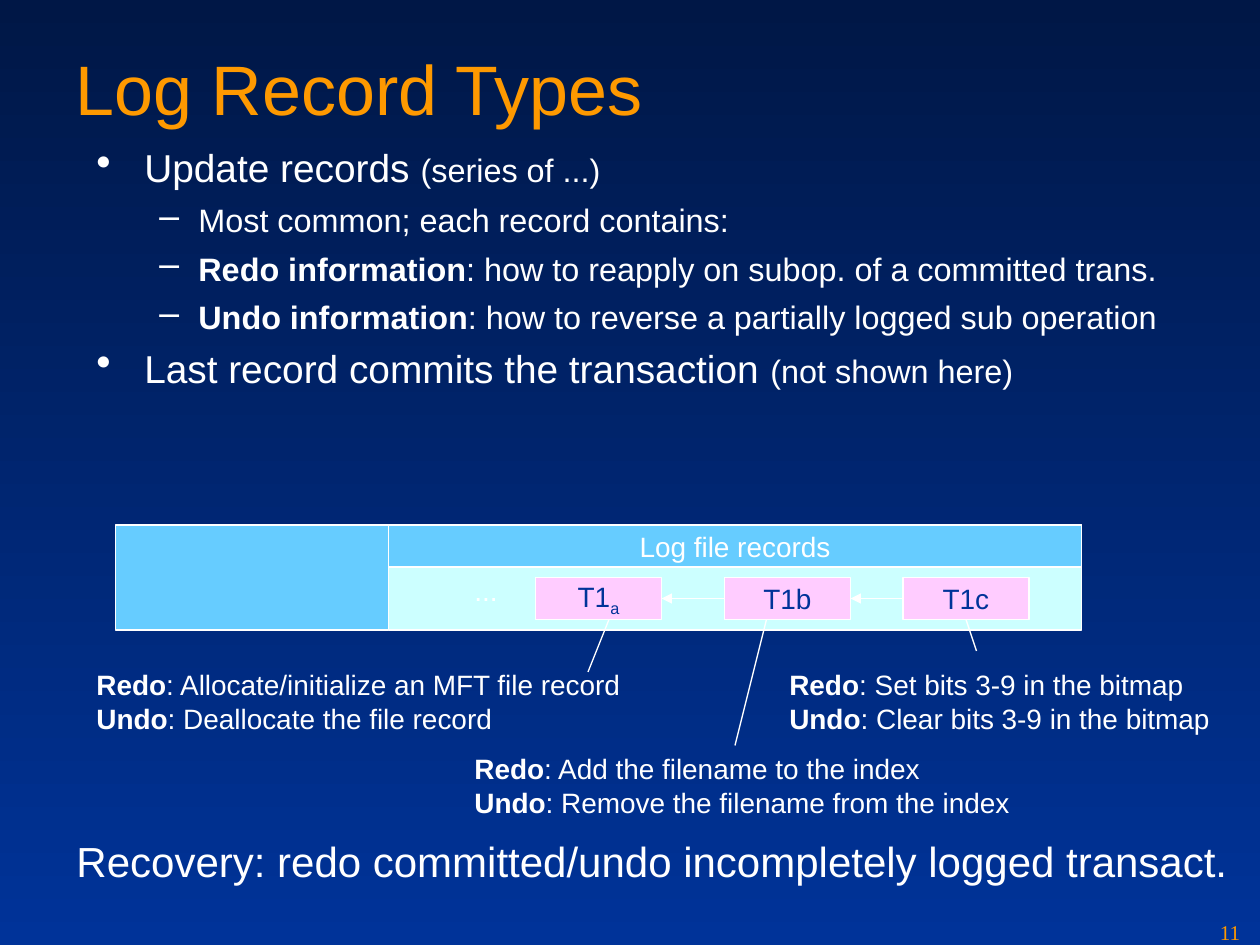
from dataclasses import dataclass

from lxml import etree
from pptx import Presentation
from pptx import util as u
from pptx.dml.color import RGBColor
from pptx.enum import shapes, text
from pptx.oxml.ns import qn


@dataclass
class Theme:
    white: str = "FFFFFF"
    orange: str = "FE9900"
    navy: str = "001746"
    blue: str = "003399"
    sky: str = "66CCFF"
    ice: str = "CCFFFF"
    pink: str = "FFCCFF"
    font: str = "Arial"
    title: float = 40
    topic: float = 22.2
    detail: float = 18.5
    label: float = 16
    summary: float = 24
    number: float = 12
    line: float = 0.74


th = Theme()
prs = Presentation()
prs.slide_width, prs.slide_height = u.Inches(10), u.Inches(7.5)
s = prs.slides.add_slide(prs.slide_layouts[5])
CELL = prs.slide_width / 120  # the slide is a grid of 120 columns by 90 rows


def grid(*cells):
    return [u.Emu(round(c * CELL)) for c in cells]


def write(tf, paragraphs, color=th.white, size=th.label, font=th.font, wrap=False):
    """Each paragraph is a list of (text, options) runs."""
    tf.word_wrap = wrap
    for i, runs in enumerate(paragraphs):
        p = tf.paragraphs[0] if i == 0 else tf.add_paragraph()
        for content, options in runs:
            r = p.add_run()
            r.text = content
            r.font.name = font
            r.font.size = u.Pt(options.get("size", size))
            r.font.bold = options.get("bold", False)
            r.font.color.rgb = RGBColor.from_string(color)
            if "baseline" in options:
                r.font._element.set("baseline", str(options["baseline"]))


# Background
fill = s.background.fill
fill.gradient()
fill.gradient_angle = 270
for stop, position, color in zip(fill.gradient_stops, (0, 1), (th.navy, th.blue)):
    stop.position = position
    stop.color.rgb = RGBColor.from_string(color)

# Title
sp = s.shapes.title
sp.left, sp.top, sp.width, sp.height = grid(6, 2.9, 108, 15)
tf = sp.text_frame
tf.auto_size = text.MSO_AUTO_SIZE.NONE
tf.vertical_anchor = text.MSO_ANCHOR.TOP
tf.margin_top = u.Inches(0.12)
write(tf, [[("Log Record Types", {})]], th.orange, th.title, wrap=True)
tf.paragraphs[0].alignment = text.PP_ALIGN.LEFT

# Bulleted body
big, bold = {"size": th.topic}, {"bold": True}
body = [
    (0, [("Update records ", big), ("(series of ...)", {})]),
    (1, [("Most common; each record contains:", {})]),
    (1, [("Redo information", bold),
         (": how to reapply on subop. of a committed trans.", {})]),
    (1, [("Undo information", bold),
         (": how to reverse a partially logged sub operation", {})]),
    (0, [("Last record commits the transaction ", big), ("(not shown here)", {})]),
]
bullets = [("\u2022", 0.38, 0.38), ("\u2013", 0.81, 0.31)]
tf = s.shapes.add_textbox(*grid(8, 14, 106, 24)).text_frame
write(tf, [runs for _, runs in body], size=th.detail, wrap=True)
for p, (level, _) in zip(tf.paragraphs, body):
    char, margin, hang = bullets[level]
    p.level = level
    p.line_spacing = 0.8
    p.space_before = p.space_after = u.Pt(5)
    pPr = p._p.get_or_add_pPr()
    pPr.set("marL", str(u.Inches(margin)))
    pPr.set("indent", str(-u.Inches(hang)))
    color = etree.SubElement(pPr, qn("a:buClr"))
    etree.SubElement(color, qn("a:srgbClr"), val=th.white)
    etree.SubElement(pPr, qn("a:buSzPct"), val="110000")
    etree.SubElement(pPr, qn("a:buChar"), char=char)

# Log file and its records
BOX_TOP, BOX_H = 55, 4
records = [(51, [("T1", {}), ("a", {"baseline": -25000})]),
           (69, [("T1b", {})]),
           (86, [("T1c", {})])]
boxes = [
    (11, 50, 26, 10, th.sky, th.white, []),
    (37, 50, 66, 10, th.ice, th.white, []),
    (37, 50, 66, 4, th.sky, th.white, [("Log file records", {})]),
] + [(x, BOX_TOP, 12, BOX_H, th.pink, th.blue, runs) for x, runs in records]
for x, y, w, h, color, ink, runs in boxes:
    sp = s.shapes.add_shape(shapes.MSO_SHAPE.RECTANGLE, *grid(x, y, w, h))
    sp.shadow.inherit = False
    sp.fill.solid()
    sp.fill.fore_color.rgb = RGBColor.from_string(color)
    sp.line.color.rgb = RGBColor.from_string(th.white)
    sp.line.width = u.Pt(th.line)
    if runs:
        sp.text_frame.vertical_anchor = text.MSO_ANCHOR.MIDDLE
        write(sp.text_frame, [runs], ink)
        sp.text_frame.paragraphs[0].alignment = text.PP_ALIGN.CENTER

# Arrows back to the previous record, then leaders to the notes
box_bottom, middle = BOX_TOP + BOX_H, BOX_TOP + BOX_H / 2
lines = [(x, middle, prev + 12, middle, True)
         for (prev, _), (x, _) in zip(records, records[1:])]
lines += [(58, box_bottom, 56, 64, False),
          (73, box_bottom, 70, 71, False),
          (92, box_bottom, 93, 62, False)]
for x1, y1, x2, y2, arrow in lines:
    c = s.shapes.add_connector(shapes.MSO_CONNECTOR.STRAIGHT, *grid(x1, y1, x2, y2))
    c.line.color.rgb = RGBColor.from_string(th.white)
    c.line.width = u.Pt(th.line)
    if arrow:
        etree.SubElement(c.line._get_or_add_ln(), qn("a:tailEnd"), type="triangle")
    etree.SubElement(c._element.spPr, qn("a:effectLst"))

# Redo and undo notes
notes = [
    (8, 63, 52.4, "Allocate/initialize an MFT file record", "Deallocate the file record"),
    (44, 71, 53.4, "Add the filename to the index", "Remove the filename from the index"),
    (74, 63, 42.5, "Set bits 3-9 in the bitmap", "Clear bits 3-9 in the bitmap"),
]
for x, y, w, redo, undo in notes:
    tf = s.shapes.add_textbox(*grid(x, y, w, 7.7)).text_frame
    write(tf, [[("Redo", bold), (": " + redo, {})],
               [("Undo", bold), (": " + undo, {})]])

# Ellipsis, summary and slide number
singles = [
    (44, 54, 4.6, 4.4, "...", th.white, th.label, th.font),
    (6.1, 79, 112, 6, "Recovery: redo committed/undo incompletely logged transact.",
     th.white, th.summary, th.font),
    (115, 87, 5, 3, "11", th.orange, th.number, "Times New Roman"),
]
for x, y, w, h, content, color, size, font in singles:
    tf = s.shapes.add_textbox(*grid(x, y, w, h)).text_frame
    write(tf, [[(content, {})]], color, size, font)

prs.save("out.pptx")
